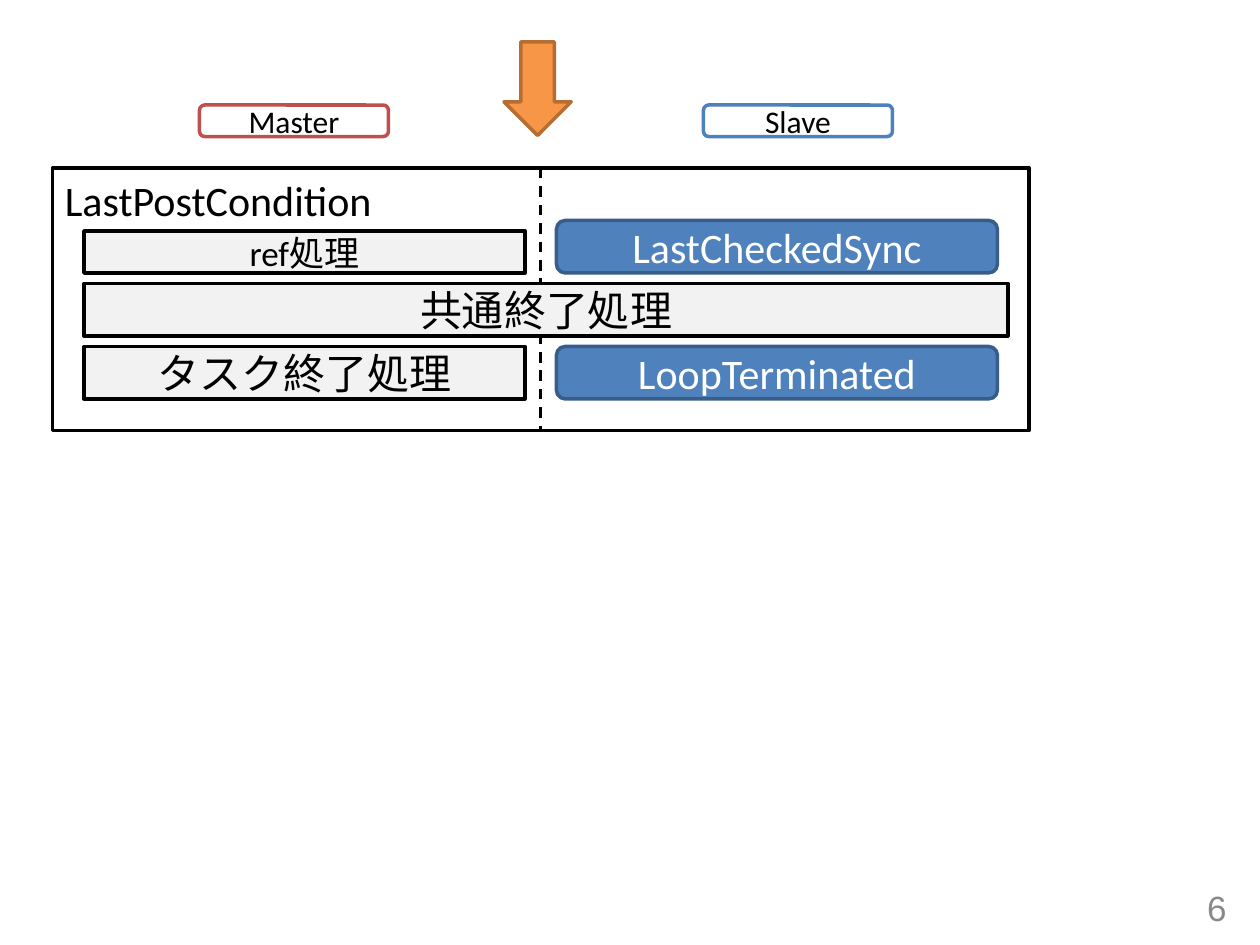
"""Build the LastPostCondition slide: master and slave steps on a 120 x 90 grid."""
from lxml import etree
from pptx import Presentation
from pptx.dml.color import RGBColor
from pptx.enum.dml import MSO_LINE
from pptx.enum.shapes import MSO_CONNECTOR, MSO_SHAPE
from pptx.enum.text import MSO_ANCHOR, PP_ALIGN
from pptx.oxml.ns import qn
from pptx.util import Inches, Pt

COLS = 120
STYLES = {
    "panel": (MSO_SHAPE.RECTANGLE, "FFFFFF", "000000", "000000"),
    "master": (MSO_SHAPE.ROUNDED_RECTANGLE, "FFFFFF", "C0504D", "000000"),
    "slave": (MSO_SHAPE.ROUNDED_RECTANGLE, "FFFFFF", "4F81BD", "000000"),
    "step": (MSO_SHAPE.RECTANGLE, "F2F2F2", "000000", "000000"),
    "sync": (MSO_SHAPE.ROUNDED_RECTANGLE, "4F81BD", "385D8A", "FFFFFF"),
    "arrow": (MSO_SHAPE.DOWN_ARROW, "F79646", "B66D31", "000000"),
}
PANEL = ("panel", "LastPostCondition", 24, (5, 16, 93, 25))
LABELS = [
    ("master", "Master", 18, (19, 10, 18, 3)),
    ("slave", "Slave", 18, (67, 10, 18, 3)),
]
STEPS = [
    ("step", "共通終了処理", 24, (8, 27, 88, 5)),
    ("sync", "LastCheckedSync", 24, (53, 21, 42, 5)),
    ("sync", "LoopTerminated", 24, (53, 33, 42, 5)),
    ("step", "タスク終了処理", 24, (8, 33, 42, 5)),
    ("step", "ref処理", 20, (8, 22, 42, 4)),
    ("arrow", "", 18, (48, 4, 6.4, 8.9)),
]
PAGE = ("6", (90, 84, 28, 4.8))
DIVIDER_COL = 51.5

prs = Presentation()
prs.slide_width, prs.slide_height = Inches(10), Inches(7.5)
s = prs.slides.add_slide(prs.slide_layouts[6])


def rgb(value):
    """Return the colour for a hex string."""
    return RGBColor.from_string(value)


def grid(*cells):
    """Turn grid cells into slide lengths."""
    return [round(prs.slide_width * c / COLS) for c in cells]


def write(sp, text, size, color, font="Calibri", align=PP_ALIGN.CENTER, anchor=MSO_ANCHOR.MIDDLE):
    """Put one formatted line of text in a shape."""
    tf = sp.text_frame
    tf.word_wrap = True
    tf.vertical_anchor = anchor
    p = tf.paragraphs[0]
    p.text = text
    p.alignment = align
    for r in p.runs:
        r.font.size, r.font.name = Pt(size), font
        r.font.color.rgb = rgb(color)


def add_box(style, text, size, cells, **layout):
    """Add a filled, outlined shape in one of the styles."""
    preset, fill, line, color = STYLES[style]
    sp = s.shapes.add_shape(preset, *grid(*cells))
    sp.shadow.inherit = False
    sp.fill.solid()
    sp.fill.fore_color.rgb = rgb(fill)
    sp.line.color.rgb = rgb(line)
    sp.line.width = Pt(2)
    if text:
        write(sp, text, size, color, **layout)


def add_divider(col, top, bottom):
    """Add the dashed line between master and slave."""
    line = s.shapes.add_connector(MSO_CONNECTOR.STRAIGHT, *grid(col, top, col, bottom))
    line.line.color.rgb = rgb("000000")
    line.line.width = Pt(1.5)
    line.line.dash_style = MSO_LINE.DASH
    etree.SubElement(line._element.spPr, qn("a:effectLst"))


add_box(*PANEL, align=PP_ALIGN.LEFT, anchor=MSO_ANCHOR.TOP)
number, cells = PAGE
write(s.shapes.add_textbox(*grid(*cells)), number, 20, "898989", "Arial", PP_ALIGN.RIGHT)
for label in LABELS:
    add_box(*label)
_, top, _, height = PANEL[-1]
add_divider(DIVIDER_COL, top, top + height)
for step in STEPS:
    add_box(*step)

prs.save("out.pptx")
